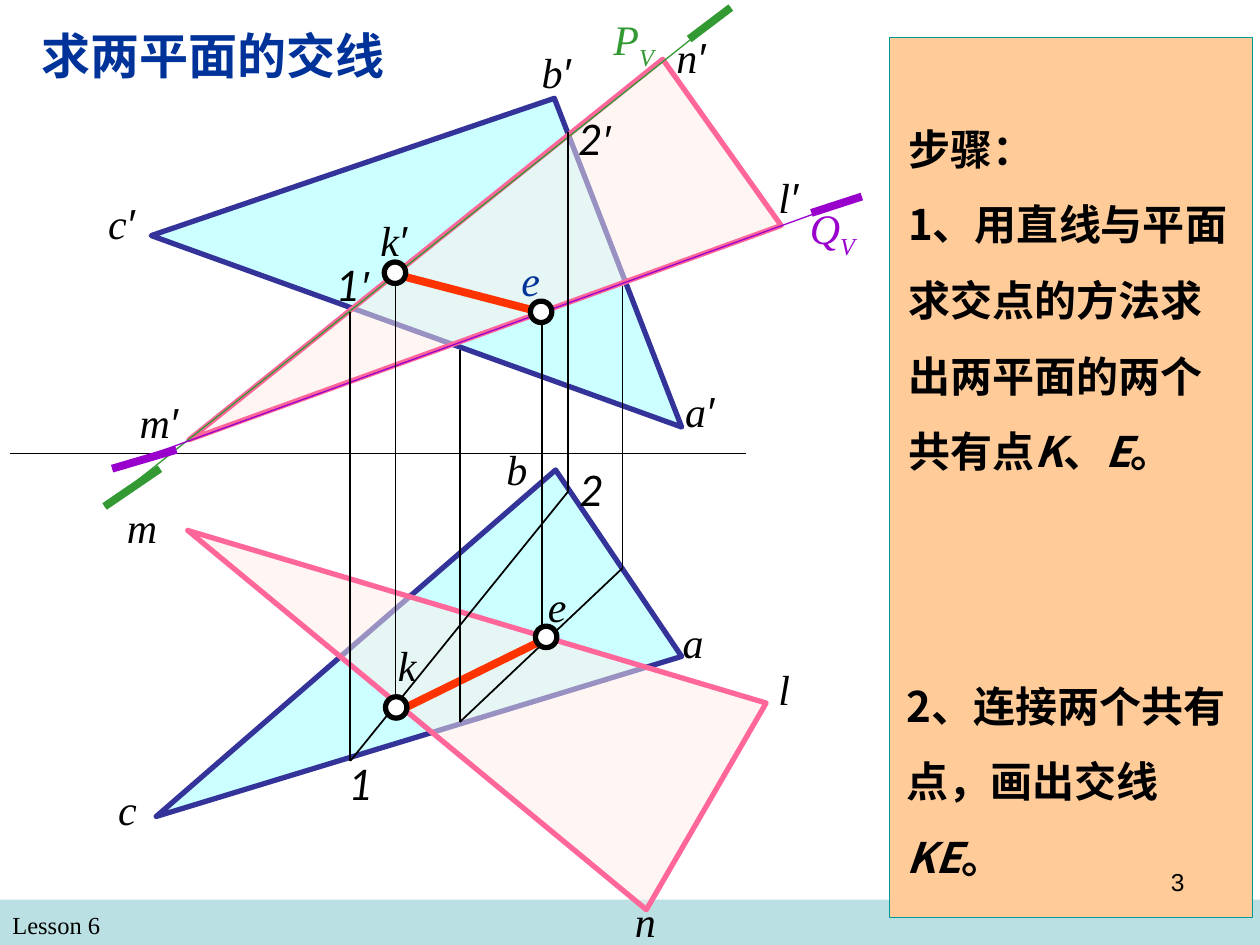
"""Build a slide on finding the intersection line of two planes."""
from dataclasses import dataclass
from itertools import chain

from lxml.etree import SubElement
from pptx import Presentation
from pptx.dml.color import RGBColor
from pptx.enum.shapes import MSO_CONNECTOR, MSO_SHAPE
from pptx.enum.text import PP_ALIGN
from pptx.oxml.ns import qn
from pptx.util import Cm, Pt

SERIF, SANS, DIGIT, CJK = "Times New Roman", "Arial", "Lato", "Noto Sans CJK SC"
BLACK, WHITE, RED, NAVY = "000000", "FFFFFF", "FF3300", "003399"
GREEN, PURPLE = "339933", "9900CC"
Point = tuple[float, float]


@dataclass(frozen=True)
class Triangle:
    corners: tuple[Point, Point, Point]
    fill: str
    outline: str
    opacity: int = 100


@dataclass(frozen=True)
class Segment:
    start: Point
    end: Point
    color: str = BLACK
    weight: float = 1


@dataclass(frozen=True)
class Label:
    name: str
    left: float
    top: float
    suffix: str = ""
    font: str = SERIF
    color: str = BLACK


@dataclass(frozen=True)
class Piece:
    text: str
    italic: bool = False


def length(inches: float) -> Cm:
    return Cm(2.54 * inches)


def rgb(color: str) -> RGBColor:
    return RGBColor.from_string(color)


def paint(shape, fill: str, outline: str | None, weight: float = 0.75) -> None:
    shape.shadow.inherit = False
    shape.fill.solid()
    shape.fill.fore_color.rgb = rgb(fill)
    if outline is None:
        shape.line.fill.background()
    else:
        shape.line.color.rgb = rgb(outline)
        shape.line.width = Pt(weight)


def draw_shape(slide, kind, box: tuple, fill: str, outline: str | None, weight: float = 0.75) -> None:
    paint(slide.shapes.add_shape(kind, *map(length, box)), fill, outline, weight)


def draw_triangle(slide, triangle: Triangle) -> None:
    first, *others = [(length(x), length(y)) for x, y in triangle.corners]
    builder = slide.shapes.build_freeform(*first)
    builder.add_line_segments(others, close=True)
    plane = builder.convert_to_shape()
    paint(plane, triangle.fill, triangle.outline, 3)
    if triangle.opacity < 100:
        tint = plane.fill._xPr.find(qn("a:solidFill"))[0]
        SubElement(tint, qn("a:alpha")).set("val", str(triangle.opacity * 1000))


def draw_segment(slide, segment: Segment) -> None:
    ends = map(length, chain(segment.start, segment.end))
    connector = slide.shapes.add_connector(MSO_CONNECTOR.STRAIGHT, *ends)
    connector.line.color.rgb = rgb(segment.color)
    connector.line.width = Pt(segment.weight)
    SubElement(connector._element.spPr, qn("a:effectLst"))


def style_run(run, font: str, size: float, color: str, bold: bool = False, italic: bool = False) -> None:
    run.font.name = font
    run.font.size = Pt(size)
    run.font.bold = bold
    run.font.italic = italic
    run.font.color.rgb = rgb(color)
    SubElement(run._r.get_or_add_rPr(), qn("a:ea")).set("typeface", font if font != SANS else CJK)


def add_frame(slide, left: float, top: float, width: float, height: float):
    frame = slide.shapes.add_textbox(*map(length, (left, top, width, height))).text_frame
    frame.word_wrap = True
    return frame


def draw_label(slide, label: Label) -> None:
    paragraph = add_frame(slide, label.left, label.top, 0.83, 0.5).paragraphs[0]
    paragraph.text = label.name
    style_run(paragraph.runs[0], label.font, 24, label.color, italic=True)
    if label.suffix:
        mark = paragraph.add_run()
        mark.text = label.suffix
        subscript = label.suffix == "V"
        style_run(mark, SERIF if subscript else SANS, 24, label.color, italic=True)
        if subscript:
            mark._r.get_or_add_rPr().set("baseline", "-25000")


def draw_steps(slide, box: tuple, paragraphs: list[list[Piece]]) -> None:
    frame = add_frame(slide, *box)
    for index, pieces in enumerate(paragraphs):
        paragraph = frame.add_paragraph() if index else frame.paragraphs[0]
        paragraph.line_spacing = 1.5
        for piece in pieces:
            run = paragraph.add_run()
            run.text = piece.text
            style_run(run, CJK, 24, BLACK, bold=True, italic=piece.italic)


def draw_note(slide, box: tuple, words: str, font: str, align) -> None:
    frame = add_frame(slide, *box)
    frame.text = words
    frame.paragraphs[0].alignment = align
    style_run(frame.paragraphs[0].runs[0], font, 14, BLACK)


def draw_title(slide, words: str) -> None:
    title = slide.shapes.title
    title.left, title.top, title.width, title.height = map(length, (0.23, 0.15, 2.92, 0.57))
    title.text_frame.text = words
    title.text_frame.word_wrap = False
    title.text_frame.paragraphs[0].alignment = PP_ALIGN.LEFT
    style_run(title.text_frame.paragraphs[0].runs[0], SANS, 28, NAVY, bold=True)


TRIANGLES = [
    Triangle(((1.24, 6.48), (4.41, 3.73), (5.41, 5.21)), "CCFFFF", "333399"),
    Triangle(((1.2, 1.87), (4.4, 0.78), (5.41, 3.39)), "CCFFFF", "333399"),
    Triangle(((1.49, 4.21), (6.08, 5.58), (5.13, 7.22)), "FFEFEB", "FF6699", 50),
    Triangle(((5.26, 0.47), (1.5, 3.49), (6.2, 1.79)), "FFEFEB", "FF6699", 50),
]
SEGMENTS = [
    Segment((0.08, 3.6), (5.92, 3.6), weight=0.75),
    Segment((2.78, 6.04), (4.51, 3.9)),
    Segment((4.94, 2.27), (4.94, 4.51)),
    Segment((3.65, 5.73), (4.94, 4.51)),
    Segment((3.11, 2.17), (4.3, 2.48), RED, 4.5),
    Segment((3.17, 5.64), (4.35, 5.06), RED, 4.5),
    Segment((3.65, 2.78), (3.65, 5.73)),
    Segment((0.83, 4.02), (5.8, 0.06), GREEN, 0.75),
    Segment((0.83, 4.02), (1.27, 3.72), GREEN, 4.5),
    Segment((5.8, 0.06), (5.47, 0.31), GREEN, 4.5),
    Segment((0.89, 3.72), (6.84, 1.56), PURPLE, 0.75),
    Segment((0.89, 3.72), (1.4, 3.57), PURPLE, 4.5),
    Segment((6.84, 1.56), (6.44, 1.69), PURPLE, 4.5),
    Segment((4.51, 1.05), (4.51, 3.9)),
    Segment((2.78, 2.48), (2.78, 6.04)),
    Segment((3.14, 5.62), (3.14, 2.17)),
    Segment((4.3, 5.02), (4.3, 2.48)),
]
COMMON_POINTS = [(3.05, 2.08), (3.06, 5.53), (4.21, 2.39), (4.25, 4.97)]
LABELS = [
    Label("a", 5.32, 4.84), Label("a", 5.34, 3.01, "′"),
    Label("b", 3.92, 3.47), Label("b", 4.2, 0.32, "′"),
    Label("c", 0.84, 6.17), Label("c", 0.76, 1.52, "′"),
    Label("l", 6.08, 5.22), Label("l", 6.08, 1.31, "′"),
    Label("m", 0.91, 3.93), Label("m", 1.01, 3.1, "′"),
    Label("n", 4.94, 7.06), Label("n", 5.27, 0.2, "′"),
    Label("k", 3.06, 5.03), Label("k", 2.92, 1.65, "′"),
    Label("e", 4.25, 4.56), Label("e", 4.04, 1.97, color=NAVY),
    Label("1", 2.67, 5.97, font=DIGIT), Label("1", 2.57, 2.01, "′", DIGIT),
    Label("2", 4.5, 3.64, font=DIGIT), Label("2", 4.49, 0.85, "′", DIGIT),
    Label("P", 4.77, 0.06, "V", color=GREEN), Label("Q", 6.33, 1.56, "V", color=PURPLE),
]
FIRST_STEP = [
    [Piece("步骤：")],
    [Piece("1、用直线与平面求交点的方法求出两平面的两个共有点"),
     Piece("K", True), Piece("、"), Piece("E", True), Piece("。")],
]
SECOND_STEP = [[Piece("2、连接两个共有点，画出交线"), Piece("KE", True), Piece("。")]]


def main() -> None:
    deck = Presentation()
    deck.slide_width, deck.slide_height = length(10), length(7.5)
    slide = deck.slides.add_slide(deck.slide_layouts[5])
    draw_title(slide, "求两平面的交线")
    draw_shape(slide, MSO_SHAPE.RECTANGLE, (0, 7.14, 10, 0.36), "BBE0E3", None)
    draw_note(slide, (0, 7.17, 4.83, 0.34), "Lesson 6", SERIF, PP_ALIGN.LEFT)
    for triangle in TRIANGLES:
        draw_triangle(slide, triangle)
    for segment in SEGMENTS:
        draw_segment(slide, segment)
    for point in COMMON_POINTS:
        draw_shape(slide, MSO_SHAPE.OVAL, (*point, 0.17, 0.17), WHITE, BLACK, 3)
    for label in LABELS:
        draw_label(slide, label)
    draw_shape(slide, MSO_SHAPE.RECTANGLE, (7.06, 0.3, 2.88, 6.98), "FFCC99", "009999")
    draw_steps(slide, (7.11, 0.73, 2.84, 3.1), FIRST_STEP)
    draw_steps(slide, (7.1, 5.15, 2.9, 1.3), SECOND_STEP)
    draw_note(slide, (7.17, 6.83, 2.33, 0.52), "3", SANS, PP_ALIGN.RIGHT)
    deck.save("out.pptx")


if __name__ == "__main__":
    main()
